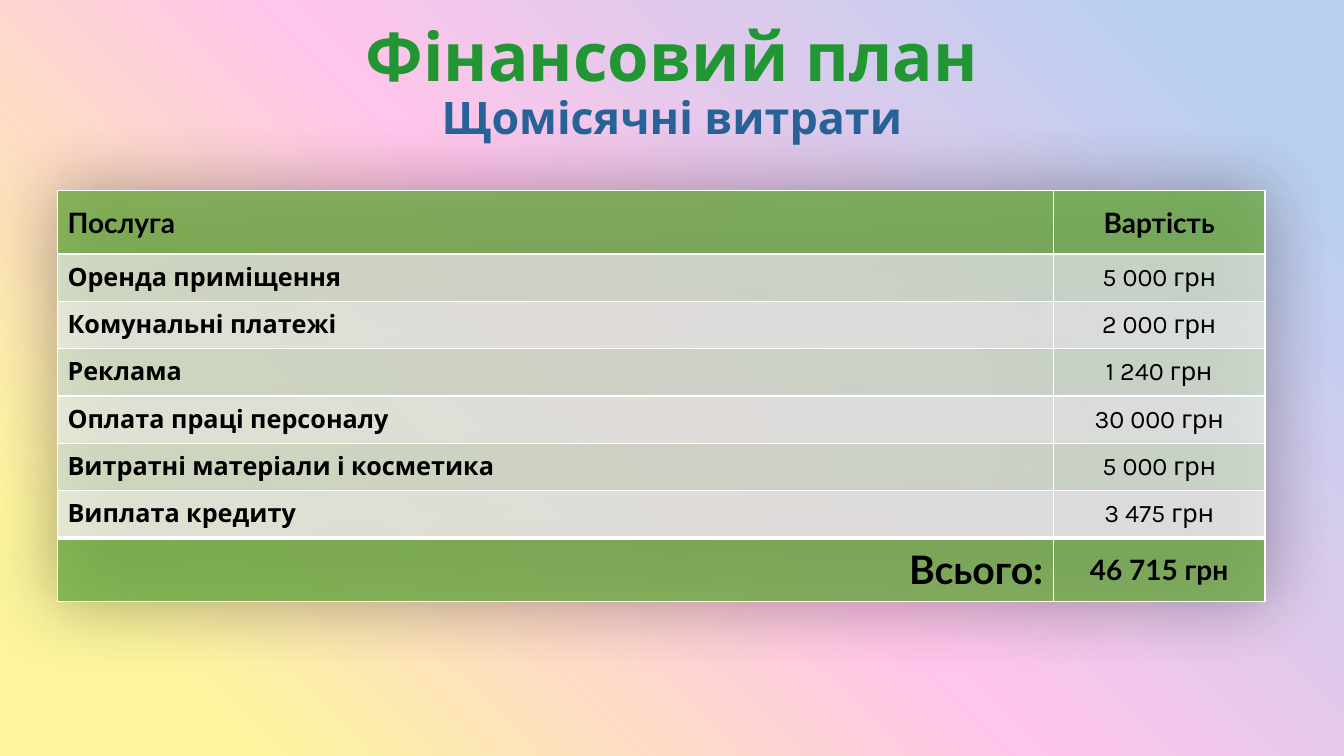
from pptx import Presentation
from pptx.dml.color import RGBColor
from pptx.enum.text import MSO_ANCHOR, MSO_AUTO_SIZE, PP_ALIGN
from pptx.oxml import parse_xml
from pptx.oxml.ns import nsdecls
from pptx.util import Pt

GREEN = RGBColor(0x22, 0x96, 0x33)
LIME = RGBColor(0x85, 0xCA, 0x3A)
NAVY = RGBColor(0x27, 0x63, 0x99)
BLUE = RGBColor(0x53, 0x80, 0xFF)
BLACK = RGBColor(0, 0, 0)
COAL = RGBColor(0x26, 0x26, 0x26)
WHITE = RGBColor(0xFF, 0xFF, 0xFF)
LEAF = RGBColor(0x70, 0xAD, 0x47)
SAGE = RGBColor(0xD5, 0xE3, 0xCF)
MIST = RGBColor(0xEB, 0xF1, 0xE9)
YELLOW = RGBColor(0xFC, 0xF5, 0x9E)
PINK = RGBColor(0xFF, 0xC5, 0xEA)
SKY = RGBColor(0xB7, 0xD0, 0xEF)

COSTS = [
    ("Оренда приміщення", "5 000 грн"),
    ("Комунальні платежі", "2 000 грн"),
    ("Реклама", "1 240 грн"),
    ("Оплата праці персоналу", "30 000 грн"),
    ("Витратні матеріали і косметика", "5 000 грн"),
    ("Виплата кредиту", "3 475 грн"),
]


def style(font, **values):
    for name, value in values.items():
        setattr(font, name, value)


def blend(font, stops, angle):
    """Fill text with a linear gradient of (position, colour) stops."""
    font.fill.gradient()
    font.fill.gradient_angle = angle
    for stop, (place, color) in zip(font.fill.gradient_stops, stops):
        stop.position = place
        stop.color.rgb = color


def paint(slide):
    """Radial background spreading from the bottom left corner."""
    slide.background.fill.gradient()
    stops = "".join(
        f'<a:gs pos="{place * 1000}"><a:srgbClr val="{color}"/></a:gs>'
        for place, color in [(12, YELLOW), (49, PINK), (92, SKY)])
    grad = parse_xml(
        f'<a:gradFill {nsdecls("a")} rotWithShape="1"><a:gsLst>{stops}</a:gsLst>'
        '<a:path path="circle"><a:fillToRect t="100000" r="100000"/></a:path>'
        '</a:gradFill>')
    old = slide.background._cSld.bg.bgPr.eg_fillProperties
    old.getparent().replace(old, grad)


def head(slide, left, top, width, height):
    """Title with its subtitle line."""
    title = slide.shapes.title
    style(title, left=Pt(left), top=Pt(top), width=Pt(width), height=Pt(height))
    frame = title.text_frame
    style(frame, word_wrap=True, auto_size=MSO_AUTO_SIZE.NONE,
          vertical_anchor=MSO_ANCHOR.MIDDLE)
    frame.text = "Фінансовий план\nЩомісячні витрати"
    looks = [(48, [(0, GREEN), (1, LIME)]), (32, [(0.16, NAVY), (1, BLUE)])]
    for para, (size, stops) in zip(frame.paragraphs, looks):
        style(para, alignment=PP_ALIGN.CENTER, line_spacing=0.9, space_before=Pt(0))
        font = para.runs[0].font
        style(font, name="Karla", size=Pt(size), bold=True)
        blend(font, stops, 45)


def edge(cell, top):
    """White borders, with their own width on the top side."""
    props = cell._tc.get_or_add_tcPr()
    for index, side in enumerate("LRTB"):
        width = Pt(top if side == "T" else 1)
        props.insert(index, parse_xml(
            f'<a:ln{side} {nsdecls("a")} w="{width}"><a:solidFill>'
            f'<a:srgbClr val="{WHITE}"/></a:solidFill></a:ln{side}>'))


def fill(cell, color):
    cell.fill.solid()
    cell.fill.fore_color.rgb = color
    tint = cell._tc.tcPr.find(".//{*}srgbClr")
    tint.append(parse_xml(f'<a:alpha {nsdecls("a")} val="80000"/>'))


def glow(table):
    """Soft shadow around the table."""
    table._tbl.tblPr.insert(0, parse_xml(
        f'<a:effectLst {nsdecls("a")}><a:outerShdw blurRad="{Pt(50)}" dist="0" '
        f'algn="ctr" rotWithShape="0"><a:srgbClr val="{BLACK}">'
        '<a:alpha val="40000"/></a:srgbClr></a:outerShdw></a:effectLst>'))


def costs(slide, left, top, width, height):
    """Table of monthly costs between a header row and a total row."""
    rows = [("Послуга", "Вартість"), *COSTS, ("Всього:", "46 715 грн")]
    last = len(rows) - 1
    table = slide.shapes.add_table(
        len(rows), 2, Pt(left), Pt(top), Pt(width), Pt(height)).table
    glow(table)
    price, tall = 151.2, 45.36
    table.columns[0].width = Pt(width - price)
    table.columns[1].width = Pt(price)
    low = (height - 2 * tall) / len(COSTS)

    for r, row in enumerate(rows):
        ends = r in (0, last)
        table.rows[r].height = Pt(tall if ends else low)
        color = LEAF if ends else SAGE if r % 2 else MIST
        for c, text in enumerate(row):
            cell = table.cell(r, c)
            cell.text = text
            cell.vertical_anchor = MSO_ANCHOR.MIDDLE
            fill(cell, color)
            edge(cell, 3 if r == last else 1)
            para = cell.text_frame.paragraphs[0]
            start = PP_ALIGN.RIGHT if r == last else PP_ALIGN.LEFT
            para.alignment = PP_ALIGN.CENTER if c else start
            font = para.runs[0].font
            size = 28 if (r, c) == (last, 0) else 20 if ends else 18
            style(font, name="Lato" if ends else "Karla", size=Pt(size),
                  bold=ends or c == 0)
            if r == last:
                blend(font, [(0, BLACK), (1, COAL)], 90)
            else:
                font.color.rgb = BLACK


def main():
    deck = Presentation()
    style(deck, slide_width=Pt(960), slide_height=Pt(540))
    slide = deck.slides.add_slide(deck.slide_layouts[5])
    paint(slide)
    head(slide, 0, 8.64, 960, 102.24)
    costs(slide, 41.04, 136.08, 862.56, 293.76)
    deck.save("out.pptx")


if __name__ == "__main__":
    main()
